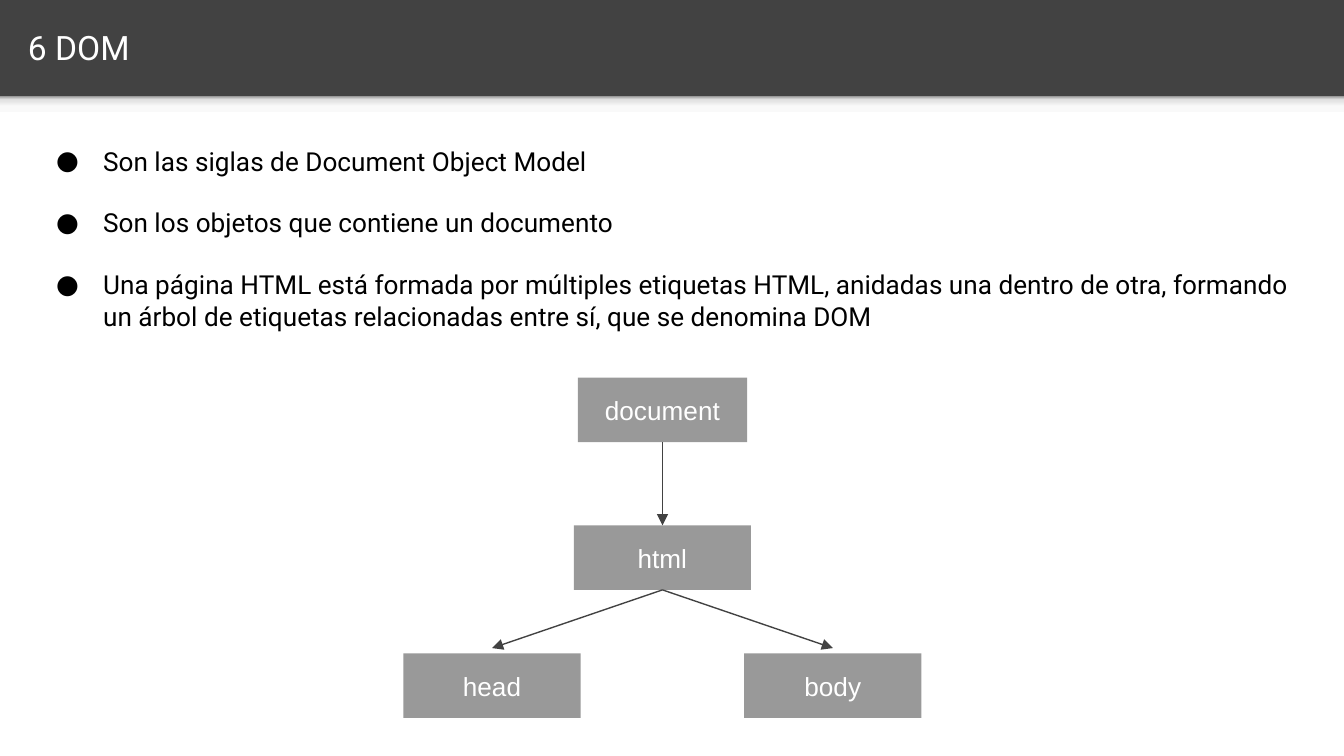
from dataclasses import dataclass

from lxml import etree
from pptx import Presentation
from pptx.dml.color import RGBColor
from pptx.enum.shapes import MSO_CONNECTOR, MSO_SHAPE
from pptx.enum.text import MSO_ANCHOR, PP_ALIGN
from pptx.oxml.ns import qn
from pptx.util import Cm, Pt

RECT = MSO_SHAPE.RECTANGLE
STRAIGHT = MSO_CONNECTOR.STRAIGHT
MIDDLE = MSO_ANCHOR.MIDDLE
CENTER = PP_ALIGN.CENTER


@dataclass(frozen=True)
class Theme:
    dark: RGBColor = RGBColor(0x42, 0x42, 0x42)
    white: RGBColor = RGBColor(0xFF, 0xFF, 0xFF)
    black: RGBColor = RGBColor(0, 0, 0)
    node: RGBColor = RGBColor(0x99, 0x99, 0x99)
    fade: tuple = ((0, "F9F9F9"), (36, "F9F9F9"), (80, "DEDEDE"), (100, "999999"))
    title_size: Pt = Pt(18)
    text_size: Pt = Pt(14)
    bullet_gap: Pt = Pt(16.4)
    line_width: Pt = Pt(0.75)
    text_font: str = "Roboto"
    node_font: str = "Arial"


THEME = Theme()
WIDTH, HEIGHT, HEADER = 25.4, 14.29, 1.82
INSET = Cm(0.25)

prs = Presentation()
prs.slide_width, prs.slide_height = Cm(WIDTH), Cm(HEIGHT)
s = prs.slides.add_slide(prs.slide_layouts[6])
s.background.fill.solid()
s.background.fill.fore_color.rgb = THEME.dark


def add_rect(left, top, width, height, color):
    sp = s.shapes.add_shape(RECT, Cm(left), Cm(top), Cm(width), Cm(height))
    sp.shadow.inherit = False
    sp.fill.solid()
    sp.fill.fore_color.rgb = color
    sp.line.fill.background()
    return sp


def write(p, text, font, size, color):
    r = p.add_run()
    r.text = text
    r.font.name, r.font.size = font, size
    r.font.color.rgb = color


# Page body and the soft edge under the header
add_rect(0, HEADER, WIDTH, HEIGHT - HEADER, THEME.white)
edge = add_rect(0, HEADER, WIDTH, 0.3, THEME.white)
edge.fill.gradient()
edge.fill.gradient_angle = 90
stops = edge.fill._fill._gradFill.find(qn("a:gsLst"))
for stop in list(stops):
    stops.remove(stop)
for pos, color in THEME.fade:
    stop = etree.SubElement(stops, qn("a:gs"), pos=str(pos * 1000))
    etree.SubElement(stop, qn("a:srgbClr"), val=color)

# Title and bullet list
frames = []
for top, height in ((0.05, 1.68), (2.49, 4.11)):
    left = 0.28 if not frames else 0.43
    tf = s.shapes.add_textbox(Cm(left), Cm(top), Cm(24.51), Cm(height)).text_frame
    tf.word_wrap = True
    tf.margin_left = tf.margin_right = tf.margin_top = tf.margin_bottom = INSET
    frames.append(tf)
title, body = frames
title.vertical_anchor = MIDDLE
write(title.paragraphs[0], "6 DOM", THEME.text_font, THEME.title_size, THEME.white)

bullets = (
    "Son las siglas de Document Object Model",
    "Son los objetos que contiene un documento",
    "Una página HTML está formada por múltiples etiquetas HTML, anidadas una "
    "dentro de otra, formando un árbol de etiquetas relacionadas entre sí, "
    "que se denomina DOM",
)
for i, text in enumerate(bullets):
    p = body.add_paragraph() if i else body.paragraphs[0]
    if i:
        p.space_before = THEME.bullet_gap
    write(p, text, THEME.text_font, THEME.text_size, THEME.black)
    pPr = p._p.get_or_add_pPr()
    pPr.set("marL", str(Cm(1.27)))
    pPr.set("indent", str(-Cm(0.89)))
    bullet_color = etree.SubElement(pPr, qn("a:buClr"))
    etree.SubElement(bullet_color, qn("a:srgbClr"), val=str(THEME.black))
    etree.SubElement(pPr, qn("a:buFont"), typeface=THEME.text_font)
    etree.SubElement(pPr, qn("a:buChar"), char="●")

# DOM tree: name -> centre x, top, width
AXIS, SPREAD, NODE_H = 12.52, 3.22, 1.22
nodes = {
    "document": (AXIS, 7.14, 3.2),
    "html": (AXIS, 9.93, 3.35),
    "head": (AXIS - SPREAD, 12.35, 3.35),
    "body": (AXIS + SPREAD, 12.35, 3.35),
}
for name, (x, top, width) in nodes.items():
    sp = add_rect(x - width / 2, top, width, NODE_H, THEME.node)
    tf = sp.text_frame
    tf.vertical_anchor = MIDDLE
    p = tf.paragraphs[0]
    p.alignment = CENTER
    write(p, name, THEME.node_font, THEME.text_size, THEME.white)

# Arrows from parent to child; the gap is left above the child
for parent, child, gap in (("document", "html", 0), ("html", "head", 0.1), ("html", "body", 0.1)):
    x1, top1, _ = nodes[parent]
    x2, top2, _ = nodes[child]
    arrow = s.shapes.add_connector(STRAIGHT, Cm(x1), Cm(top1 + NODE_H), Cm(x2), Cm(top2 - gap))
    arrow.line.color.rgb = THEME.dark
    arrow.line.width = THEME.line_width
    etree.SubElement(arrow.line._get_or_add_ln(), qn("a:tailEnd"), type="triangle")
    etree.SubElement(arrow._element.spPr, qn("a:effectLst"))

prs.save("out.pptx")
